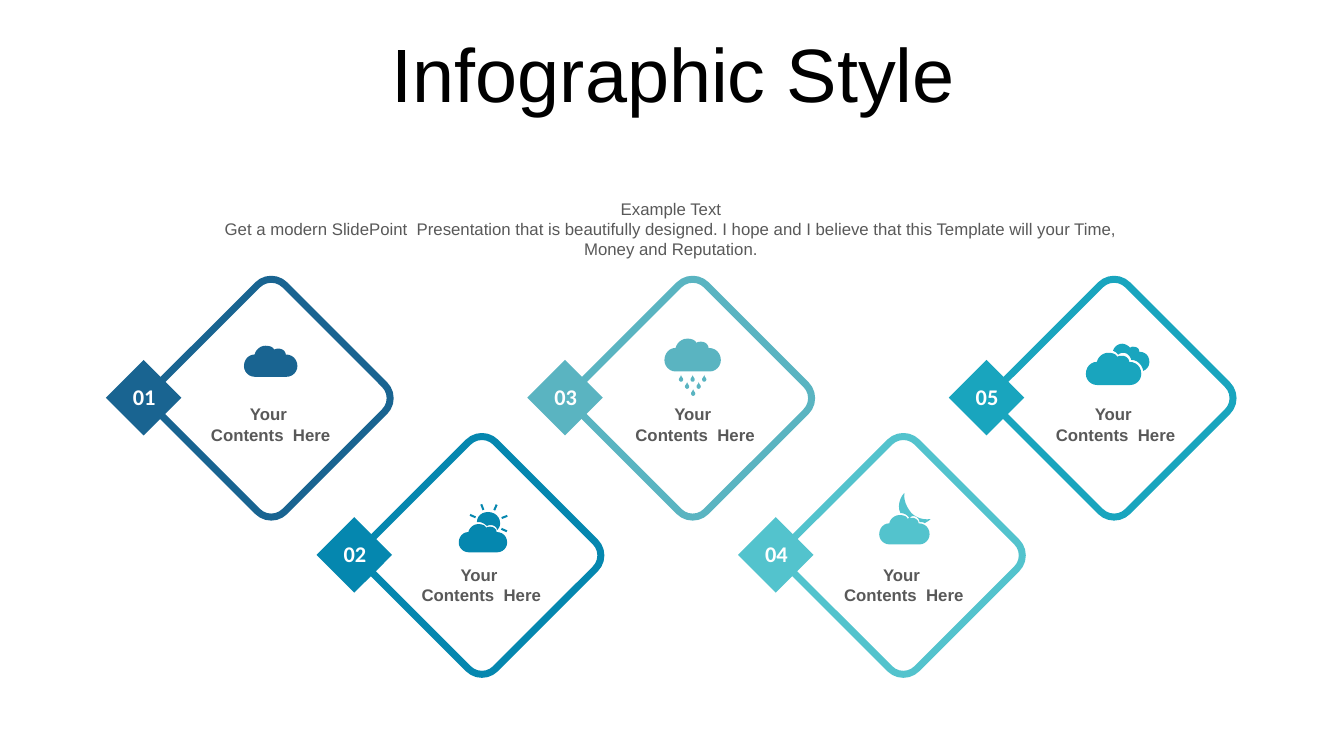
from math import cos, radians, sin

from pptx import Presentation
from pptx.dml.color import RGBColor
from pptx.enum.shapes import MSO_SHAPE as Shape
from pptx.enum.text import MSO_ANCHOR as Anchor, PP_ALIGN as Align
from pptx.util import Inches, Pt

COLORS = {
    "black": "000000", "white": "FFFFFF", "gray": "595959",
    "navy": "196491", "blue": "0587AF", "sage": "5AB4C1",
    "aqua": "53C3CD", "teal": "19A5BE",
}

# Icon outlines are in hundredths of an inch from the top left of the main cloud.
CLOUD_WIDTH = 55
CLOUD = ("M 22 0 C 26 0 30 1 31 4 C 33 3 34 3 36 3 C 40 3 43 6 43 9 "
         "C 50 9 55 14 55 21 C 55 27 50 32 44 32 L 11 32 "
         "C 5 32 0 27 0 21 C 0 14 5 9 11 9 C 12 4 17 0 22 0")
BACK_CLOUD = ("M 36 -9 C 39 -9 42 -7 44 -5 C 45 -6 46 -6 47 -6 C 51 -6 53 -4 53 -1 "
              "C 59 -1 63 3 63 9 C 63 13 61 16 57 18 C 56 12 51 7 45 7 "
              "C 44 3 41 0 37 0 C 35 0 33 1 32 2 C 31 0 29 -1 27 -2 "
              "C 28 -6 32 -9 36 -9")
SUN = ("M 29 -12 C 36 -12 41 -7 41 -1 C 41 2 40 4 38 6 C 38 3 35 1 32 1 "
       "C 31 1 29 1 28 2 C 26 0 23 -2 20 -2 L 18 -2 C 18 -8 23 -12 29 -12")
MOON = ("M 25 -22 C 24 -15 27 -8 32 -2 C 37 3 44 5 51 4 C 49 6 47 7 45 8 "
        "C 44 7 42 7 40 7 C 40 4 37 1 34 1 C 32 1 31 2 30 3 "
        "C 28 0 25 -2 21 -2 C 18 -8 20 -17 25 -22")
DROP = ("M 2 0 C 2 1 3 2 3.5 3 C 4.3 4 4.3 5 3.5 6 C 3 7 1 7 0.5 6 "
        "C -0.3 5 -0.3 4 0.5 3 C 1 2 2 1 2 0")


def outline(path, scale=1, dx=0, dy=0, pieces=6):
    """Turn a path of M, L and C commands into points along it."""
    points = []
    for command in path.replace("M", "|L").replace("L", "|L").replace("C", "|C").split("|"):
        numbers = [float(number) for number in command.split()[1:]]
        pairs = list(zip(numbers[::2], numbers[1::2]))
        if command.startswith("C"):
            curve = [points[-1]] + pairs
            for piece in range(1, pieces + 1):
                t = piece / pieces
                weights = ((1 - t) ** 3, 3 * t * (1 - t) ** 2, 3 * t * t * (1 - t), t ** 3)
                points.append(tuple(sum(weight * point[axis] for weight, point in zip(weights, curve))
                                    for axis in (0, 1)))
        else:
            points += pairs
    return [(x * scale + dx, y * scale + dy) for x, y in points]


def sun_rays():
    rays = []
    for step in range(5):
        angle = radians(24 - 45 * step)
        across, down = cos(angle), sin(angle)
        rays.append([(29.5 + reach * across - side * down, -1 + reach * down + side * across)
                     for reach, side in ((14, -1), (20, -1), (20, 1), (14, 1))])
    return rays


def rain_drops():
    return [outline(DROP, dx=14.5 + 6 * row + 11.5 * column, dy=36 + 7 * row)
            for row in range(3) for column in range(3 - row)]


# Color, caption left, cloud left, cloud top, cloud width, further icon outlines
STEPS = [
    ("navy", 1.87, 2.42, 3.43, 53, []),
    ("blue", 3.96, 4.55, 5.2, 48, [outline(SUN)] + sun_rays()),
    ("sage", 6.08, 6.59, 3.36, 56, rain_drops()),
    ("aqua", 8.15, 8.72, 5.11, 50, [outline(MOON)]),
    ("teal", 10.25, 10.77, 3.5, 55, [outline(BACK_CLOUD)]),
]


def rgb(name):
    return RGBColor.from_string(COLORS[name])


def add_text(page, box, lines, size, color, font="Arial", bold=False,
             anchor=Anchor.TOP, spacing=None, before=None):
    frame = page.shapes.add_textbox(*map(Inches, box)).text_frame
    frame.word_wrap = True
    frame.vertical_anchor = anchor
    for index, line in enumerate(lines):
        para = frame.paragraphs[0] if index == 0 else frame.add_paragraph()
        para.alignment = Align.CENTER
        para.line_spacing = spacing
        para.space_before = before
        span = para.add_run()
        span.text = line
        span.font.name = font
        span.font.size = Pt(size)
        span.font.bold = bold
        span.font.color.rgb = rgb(color)


def paint(shape, fill, line=None):
    shape.shadow.inherit = False
    shape.fill.solid()
    shape.fill.fore_color.rgb = rgb(fill)
    if line:
        shape.line.color.rgb = rgb(line)
        shape.line.width = Pt(5)
    else:
        shape.line.fill.background()


def add_icon(page, left, top, contours, color):
    placed = [[(Inches(left + x / 100), Inches(top + y / 100)) for x, y in contour]
              for contour in contours]
    builder = page.shapes.build_freeform(*placed[0][0], scale=1.0)
    for index, contour in enumerate(placed):
        if index:
            builder.move_to(*contour[0])
        builder.add_line_segments(contour[1:], close=True)
    paint(builder.convert_to_shape(), color)


def add_diamond(page, kind, left, top, side):
    diamond = page.shapes.add_shape(kind, *map(Inches, (left, top, side, side)))
    diamond.rotation = 315
    return diamond


def add_step(page, left, top, number, color, caption_left, caption_top):
    """Draw a rounded diamond with its number badge and caption."""
    frame = add_diamond(page, Shape.ROUNDED_RECTANGLE, left, top, 1.78)
    frame.adjustments[0] = 0.107
    paint(frame, "white", line=color)
    paint(add_diamond(page, Shape.RECTANGLE, left - 0.64, top + 0.62, 0.53), color)
    add_text(page, (left - 0.63, top + 0.69, 0.52, 0.37), [f"{number:02}"], 16, "white",
             font="Calibri", bold=True, anchor=Anchor.MIDDLE)
    add_text(page, (caption_left, caption_top, 1.63, 0.5), ["Your ", "Contents  Here"],
             12, "gray", bold=True)


def add_heading(page):
    add_text(page, (0.35, 0.31, 12.66, 0.92), ["Infographic Style"], 54, "black",
             anchor=Anchor.MIDDLE, spacing=0.9, before=Pt(10))
    add_text(page, (1.87, 1.92, 9.57, 0.71), [
        "Example Text",
        "Get a modern SlidePoint  Presentation that is beautifully designed. I hope and "
        "I believe that this Template will your Time, Money and Reputation.",
    ], 12, "gray")


def add_steps(page, left, gap, tops, caption_tops):
    for index, (color, caption_left, icon_left, icon_top, width, extras) in enumerate(STEPS):
        row = index % 2
        add_step(page, left + gap * index, tops[row], index + 1, color,
                 caption_left, caption_tops[row])
        cloud = outline(CLOUD, scale=width / CLOUD_WIDTH)
        add_icon(page, icon_left, icon_top, [cloud] + extras, color)


def main():
    deck = Presentation()
    deck.slide_width, deck.slide_height = Inches(13.33), Inches(7.5)
    page = deck.slides.add_slide(deck.slide_layouts[6])
    add_heading(page)
    add_steps(page, left=1.8, gap=2.09, tops=(3.06, 4.62), caption_tops=(3.96, 5.55))
    deck.save("out.pptx")


if __name__ == "__main__":
    main()
